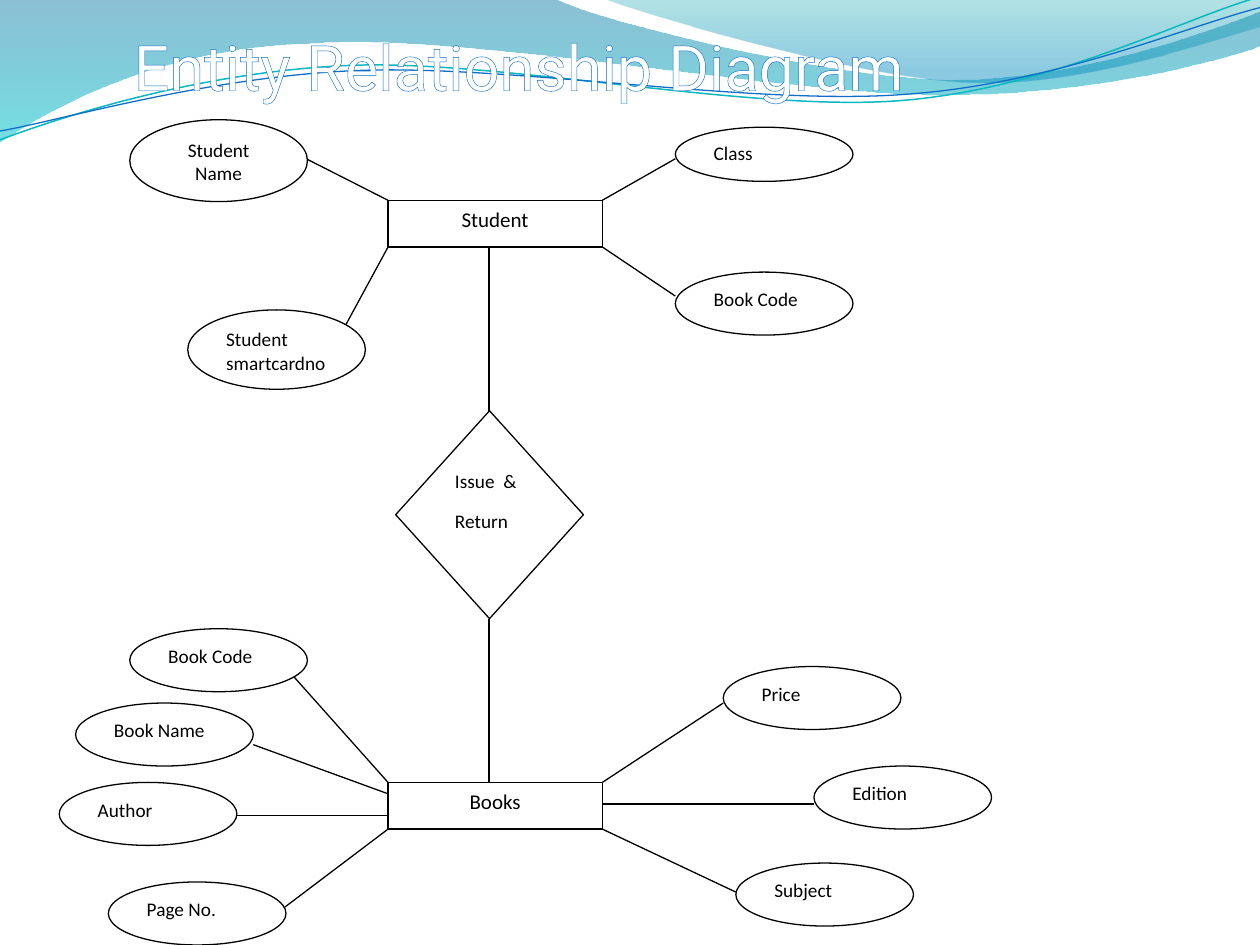
from math import cos, radians, sin

from lxml import etree
from pptx import Presentation
from pptx.dml.color import RGBColor
from pptx.enum import shapes as kinds, text as modes
from pptx.oxml import ns
from pptx.util import Inches, Pt

COLORS = {
    "ink": "000000", "paper": "FFFFFF", "blue": "0F6FC6", "teal": "0AB8BF",
    "deep": "0074A1", "aqua": "00C6CF", "sea": "00A1A9", "sky": "008BBF",
}
OVAL = kinds.MSO_SHAPE.OVAL
RECT = kinds.MSO_SHAPE.RECTANGLE
LEFT, MID = modes.PP_ALIGN.LEFT, modes.PP_ALIGN.CENTER
WIDE = 1.41
TILT = 357.3

BANDS = [
    ((-0.01, -0.01, 10.02, 1.14),
     [(0, 0), (4.4, -0.01), (4.76, 0.17, 6.64, 0.63, 7.58, 0.63),
      (8.53, 0.63, 9.58, 0.26, 10, 0.09), (10.01, 0.36),
      (9.83, 0.44, 8.7, 0.76, 7.46, 0.75),
      (6.22, 0.75, 3.82, 0.28, 2.57, 0.34),
      (1.29, 0.36, 0.46, 0.83, -0.01, 1.13), (0, 0)],
     [(0, "deep", 45), (1, "aqua", 55)]),
    ((4.79, -0.01, 5.21, 0.7),
     [(4.79, -0.01), (5.09, 0.11, 6.82, 0.62, 7.69, 0.65),
      (8.56, 0.69, 9.61, 0.32, 10, 0.21), (10, 0), (4.79, -0.01)],
     [(0, "sea", 30), (0.8, "sky", 45)]),
]
WAVES = [
    ((-0.02, 0.22, 10.02, 0.71),
     [(0, 1.11), (0.48, 0.93, 1.58, 0.57, 2.77, 0.52),
      (3.95, 0.47, 5.93, 0.89, 7.13, 0.8),
      (8.33, 0.71, 9.38, 0.15, 9.98, -0.02)], "teal", 0.85),
    ((-0.02, 0.3, 10.03, 0.58),
     [(0, 1.04), (0.47, 0.96, 1.64, 0.61, 2.83, 0.56),
      (4.03, 0.51, 5.97, 0.84, 7.17, 0.75),
      (8.36, 0.67, 9.41, 0.21, 10, 0.06)], "blue", 0.75),
]
LINKS = [
    (3.88, 1.96, 3.88, 3.26), (3.88, 4.91, 3.88, 6.21),
    (2.43, 1.26, 3.08, 1.59), (5.36, 1.26, 4.78, 1.59),
    (3.08, 1.96, 2.7, 2.66), (4.78, 1.96, 5.36, 2.35),
    (3.08, 6.58, 2.26, 7.2), (4.78, 6.58, 5.84, 7.08),
    (5.74, 5.58, 4.78, 6.21), (3.08, 6.21, 2.26, 5.29),
    (3.08, 6.47, 1.88, 6.47), (6.46, 6.38, 4.78, 6.38),
    (3.08, 6.3, 2.01, 5.91),
]
TRAITS = [
    ("Student smartcardno", 1.49, 2.46, 0.63, LEFT),
    ("Class", 5.36, 1.01, 0.43, LEFT),
    ("Book Code", 5.36, 2.16, 0.5, LEFT),
    ("Student Name", 1.03, 0.95, 0.65, MID),
    ("Price", 5.74, 5.29, 0.5, LEFT),
    ("Edition", 6.46, 6.08, 0.5, LEFT),
    ("Subject", 5.84, 6.85, 0.5, LEFT),
    ("Book Code", 1.03, 4.99, 0.5, LEFT),
    ("Book Name", 0.6, 5.58, 0.5, LEFT),
    ("Author", 0.47, 6.21, 0.5, LEFT),
    ("Page No.", 0.86, 7, 0.5, LEFT),
]


def rgb(name):
    return RGBColor.from_string(COLORS[name])


def add_sub(node, tag, **attrs):
    return etree.SubElement(node, ns.qn(tag), **attrs)


def turn(x, y, box, angle):
    left, top, wide, high = box
    dx, dy = x - left - wide / 2, y - top - high / 2
    c, s = cos(radians(angle)), sin(radians(angle))
    return dx * c + dy * s + wide / 2, dy * c - dx * s + high / 2


def add_curve(slide, box, steps, angle=0, close=False):
    left, top, wide, high = box
    pen = slide.shapes.build_freeform(Inches(left), Inches(top))
    pen.add_line_segments([(Inches(left + wide), Inches(top + high))], close=False)
    shape = pen.convert_to_shape()
    shape.shadow.inherit = False
    shape.rotation = angle
    route = shape._element.xpath(".//a:path")[0]
    for part in list(route):
        route.remove(part)
    for i, step in enumerate(steps):
        tag = "a:cubicBezTo" if len(step) == 6 else "a:lnTo" if i else "a:moveTo"
        part = add_sub(route, tag)
        for x, y in zip(step[::2], step[1::2]):
            x, y = turn(x, y, box, angle)
            add_sub(part, "a:pt", x=str(Inches(x)), y=str(Inches(y)))
    if close:
        add_sub(route, "a:close")
    return shape


def add_band(slide, box, steps, stops):
    shape = add_curve(slide, box, steps, close=True)
    shape.line.fill.background()
    shape.fill.gradient()
    shape.fill.gradient_angle = 270
    for stop, (pos, color, _) in zip(shape.fill.gradient_stops, stops):
        stop.position = pos
        stop.color.rgb = rgb(color)
    tints = shape._element.xpath(".//a:gs/a:srgbClr")
    for tint, (_, _, alpha) in zip(tints, stops):
        add_sub(tint, "a:alpha", val=str(alpha * 1000))


def add_wave(slide, box, steps, color, width):
    shape = add_curve(slide, box, steps, TILT)
    shape.fill.background()
    shape.line.color.rgb = rgb(color)
    shape.line.width = Pt(width)


def add_link(slide, *ends):
    line = slide.shapes.add_connector(
        kinds.MSO_CONNECTOR.STRAIGHT, *[Inches(v) for v in ends])
    line.line.color.rgb = rgb("ink")
    line.line.width = Pt(0.75)
    add_sub(line._element.spPr, "a:effectLst")


def add_node(slide, kind, label, box, align=LEFT, size=11):
    shape = slide.shapes.add_shape(kind, *[Inches(v) for v in box])
    shape.shadow.inherit = False
    shape.fill.solid()
    shape.fill.fore_color.rgb = rgb("paper")
    shape.line.color.rgb = rgb("ink")
    shape.line.width = Pt(0.75)
    frame = shape.text_frame
    frame.text = label
    frame.vertical_anchor = modes.MSO_ANCHOR.TOP
    for para in frame.paragraphs:
        para.alignment = align
        para.space_after = Pt(10)
        para.font.name = "Calibri"
        para.font.size = Pt(size)
        para.font.color.rgb = rgb("ink")


def add_title(slide, label):
    title = slide.shapes.title
    title.left, title.top = Inches(0.42), Inches(0.17)
    title.width, title.height = Inches(9.08), Inches(0.71)
    frame = title.text_frame
    frame.text = label
    frame.margin_left = Inches(0.64)
    frame.vertical_anchor = modes.MSO_ANCHOR.TOP
    frame.auto_size = modes.MSO_AUTO_SIZE.NONE
    para = frame.paragraphs[0]
    para.alignment = modes.PP_ALIGN.JUSTIFY
    font = para.runs[0].font
    font.name = "Roboto"
    font.size = Pt(36)
    font.color.rgb = rgb("paper")
    edge = etree.Element(ns.qn("a:ln"), w=str(Pt(0.8)))
    add_sub(add_sub(edge, "a:solidFill"), "a:srgbClr", val=COLORS["blue"])
    font._element.insert(0, edge)
    slide.shapes._spTree.append(title._element)


def main():
    deck = Presentation()
    deck.slide_width, deck.slide_height = Inches(10), Inches(7.5)
    slide = deck.slides.add_slide(deck.slide_layouts[5])
    for band in BANDS:
        add_band(slide, *band)
    for wave in WAVES:
        add_wave(slide, *wave)
    for label, top in (("Student", 1.59), ("Books", 6.21)):
        add_node(slide, RECT, label, (3.08, top, 1.7, 0.37), MID, 12)
    for link in LINKS:
        add_link(slide, *link)
    add_node(slide, kinds.MSO_SHAPE.DIAMOND, "Issue  &\nReturn", (3.14, 3.26, 1.49, 1.65))
    for label, left, top, high, align in TRAITS:
        add_node(slide, OVAL, label, (left, top, WIDE, high), align)
    add_title(slide, "Entity Relationship Diagram")
    deck.save("out.pptx")


if __name__ == "__main__":
    main()
